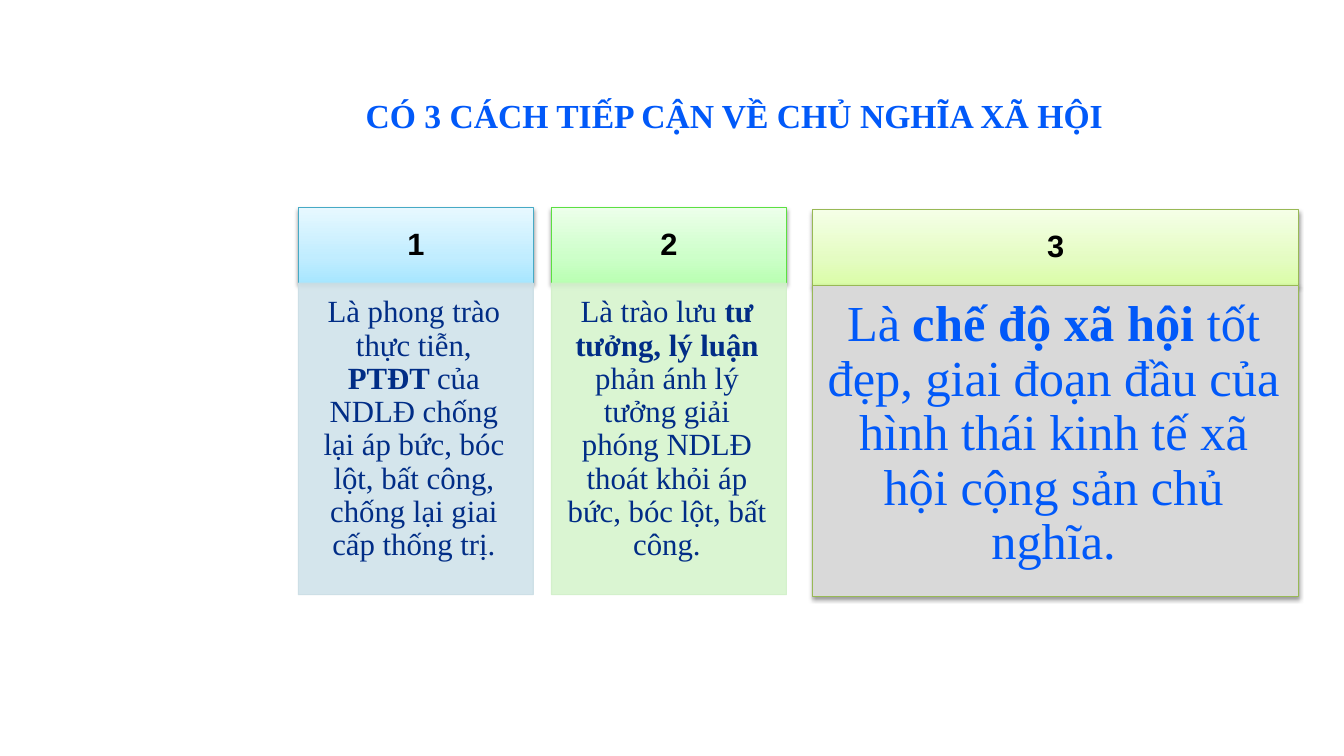
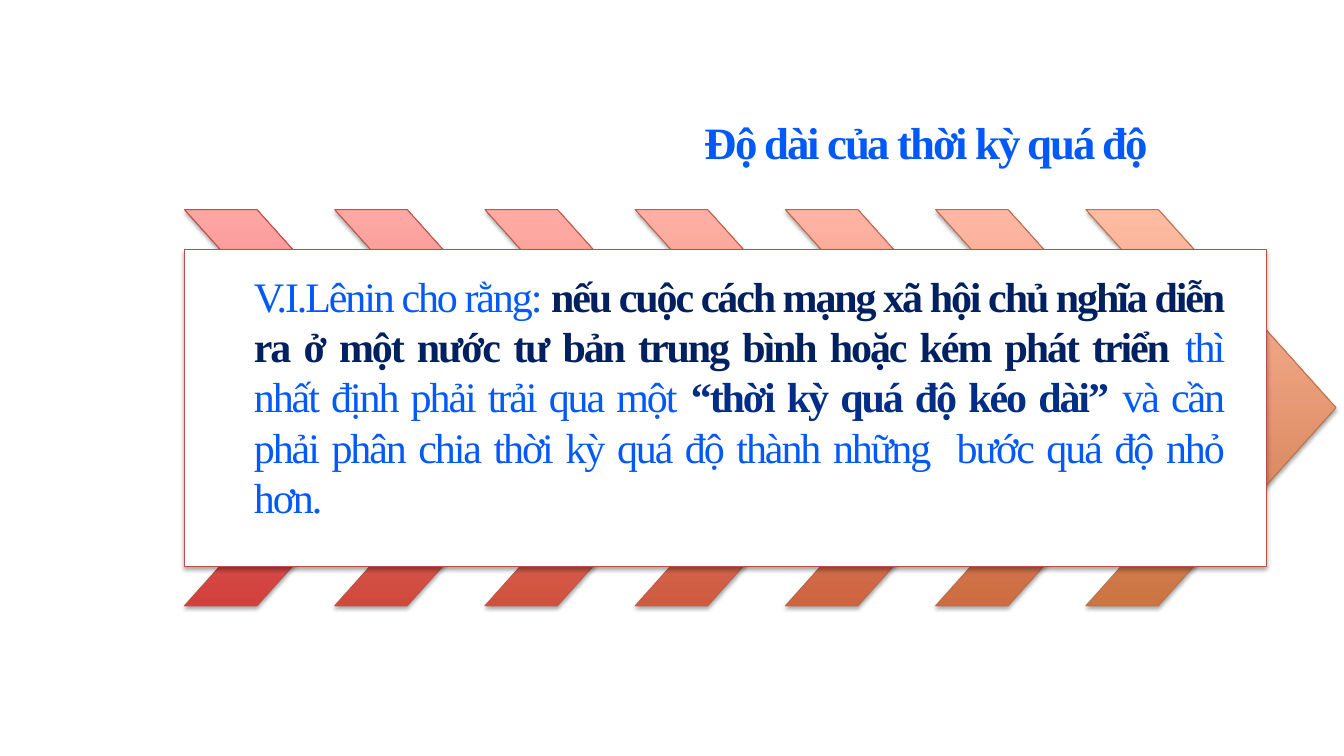
from pptx import Presentation
from pptx.dml.color import RGBColor
from pptx.enum.shapes import MSO_SHAPE
from pptx.enum.text import MSO_ANCHOR, MSO_AUTO_SIZE, PP_ALIGN
from pptx.oxml import parse_xml
from pptx.oxml.ns import nsdecls, qn
from pptx.util import Inches, Pt

BLUE, NAVY, DARK, BLACK, WHITE = "0159F9", "012D86", "002060", "000000", "FFFFFF"
SERIF, SANS = "Times New Roman", "Arial"

COLUMNS = [
    dict(box=(2.96, 2.06, 2.33), number="1", size=22, color=NAVY,
         head=[(0, "A7E6FF"), (35, "C1EDFF"), (100, "E7F8FF")], head_line="46AAC5",
         fill="D0E3EA", line="CBDEE5", alpha=90, shadow=None,
         runs=[("Là phong trào thực tiễn, ", False), ("PTĐT ", True),
               ("của NDLĐ chống lại áp bức, bóc lột, bất công, "
                "chống lại giai cấp thống trị.", False)]),
    dict(box=(5.47, 2.06, 2.33), number="2", size=22, color=NAVY,
         head=[(0, "B9FFB2"), (35, "CDFFC9"), (100, "ECFFEA")], head_line="5BE041",
         fill="D6F4CE", line="D1F0C9", alpha=90, shadow=None,
         runs=[("Là trào lưu ", False), ("tư tưởng, lý luận ", True),
               ("phản ánh lý tưởng giải phóng NDLĐ thoát khỏi áp bức, "
                "bóc lột, bất công.", False)]),
    dict(box=(8.06, 2.08, 4.82), number="3", size=36, color=BLUE,
         head=[(0, "DAFDA7"), (35, "E4FCC2"), (100, "F5FFE7")], head_line="98B955",
         fill="D9D9D9", line="98B955", alpha=100, shadow=38,
         runs=[("Là ", False), ("chế độ xã hội ", True),
               ("tốt đẹp, giai đoạn đầu của hình thái kinh tế xã hội "
                "cộng sản chủ nghĩa.", False)]),
]
HEAD_H, BODY_H = 0.75, 3.09

CHEVRONS = [
    ("D1403C", "FFA6A5", "BF4C48"), ("D0493D", "FFA9A5", "BE534A"),
    ("D0523E", "FFACA5", "BE5A4B"), ("CE5B40", "FFB0A5", "BC614C"),
    ("CD6440", "FFB4A4", "BB684C"), ("CD6C41", "FFB8A5", "BB6E4D"),
    ("CC7442", "FFBCA4", "BA754E"),
]
CHEVRON_X, CHEVRON_STEP = 1.83, 1.49

QUOTE = [
    ("V.I.Lênin cho rằng: ", BLUE, False),
    ("nếu cuộc cách mạng xã hội chủ nghĩa diễn ra ở một nước tư bản "
     "trung bình hoặc kém phát triển", DARK, True),
    (" thì nhất định phải trải qua một ", BLUE, False),
    ("“thời kỳ quá độ kéo dài” ", NAVY, True),
    ("và cần phải phân chia thời kỳ quá độ thành những  bước quá độ nhỏ hơn. ", BLUE, False),
]


def rgb(color):
    return RGBColor.from_string(color)


def set_attrs(obj, values):
    for name, value in values.items():
        setattr(obj, name, value)


def write(tf, runs, size, font=SERIF, align=PP_ALIGN.CENTER, anchor=MSO_ANCHOR.TOP,
          margins=(0.1, 0.05, 0.1, 0.05), spacing=1.0, tracking=0):
    left, top, right, bottom = map(Inches, margins)
    set_attrs(tf, dict(word_wrap=True, auto_size=MSO_AUTO_SIZE.NONE, vertical_anchor=anchor,
                       margin_left=left, margin_top=top,
                       margin_right=right, margin_bottom=bottom))
    p = tf.paragraphs[0]
    set_attrs(p, dict(alignment=align, line_spacing=spacing))
    for text, color, bold in runs:
        r = p.add_run()
        r.text = text
        set_attrs(r.font, dict(name=font, size=Pt(size), bold=bold))
        r.font.color.rgb = rgb(color)
        if tracking:
            r.font._element.set("spc", str(int(tracking * 100)))


def add_title(prs, text, box, size, **style):
    s = prs.slides.add_slide(prs.slide_layouts[5])
    title = s.shapes.title
    set_attrs(title, dict(zip(("left", "top", "width", "height"), map(Inches, box))))
    write(title.text_frame, [(text, BLUE, True)], size, anchor=MSO_ANCHOR.MIDDLE, **style)
    return s


def add_block(s, box, fill, line, shadow=None, alpha=100, kind=MSO_SHAPE.RECTANGLE):
    sp = s.shapes.add_shape(kind, *map(Inches, box))
    sp.shadow.inherit = False
    props = sp._element.spPr
    if isinstance(fill, str):
        sp.fill.solid()
        sp.fill.fore_color.rgb = rgb(fill)
    else:
        sp.fill.gradient()
        sp.fill.gradient_angle = 90
        stops = props.find(".//" + qn("a:gsLst"))
        stops.clear()
        for pos, color in fill:
            stops.append(parse_xml(f'<a:gs {nsdecls("a")} pos="{pos * 1000}">'
                                   f'<a:srgbClr val="{color}"/></a:gs>'))
    sp.line.color.rgb = rgb(line)
    sp.line.width = Pt(0.75)
    if alpha < 100:
        for color in props.iter(qn("a:srgbClr")):
            color.append(parse_xml(f'<a:alpha {nsdecls("a")} val="{alpha * 1000}"/>'))
    if shadow:
        props.find(qn("a:effectLst")).append(parse_xml(
            f'<a:outerShdw {nsdecls("a")} blurRad="{Pt(3.1)}" dist="{Pt(1.7)}" '
            f'dir="5400000" rotWithShape="0"><a:srgbClr val="{BLACK}">'
            f'<a:alpha val="{shadow * 1000}"/></a:srgbClr></a:outerShdw>'))
    return sp


def build_approaches(prs):
    s = add_title(prs, "CÓ 3 CÁCH TIẾP CẬN VỀ CHỦ NGHĨA XÃ HỘI ", (3.28, 0.63, 8.09, 1.03), 24)
    for col in COLUMNS:
        x, y, w = col["box"]
        head = add_block(s, (x, y, w, HEAD_H), col["head"], col["head_line"], 38)
        write(head.text_frame, [(col["number"], BLACK, True)], 22, SANS,
              anchor=MSO_ANCHOR.MIDDLE, margins=(0.17, 0.1, 0.17, 0.1), spacing=0.9)
        body = add_block(s, (x, y + HEAD_H, w, BODY_H), col["fill"], col["line"],
                         col["shadow"], col["alpha"])
        write(body.text_frame, [(text, col["color"], bold) for text, bold in col["runs"]],
              col["size"], margins=(0.13, 0.13, 0.17, 0.19), spacing=0.9)


def build_transition(prs):
    s = add_title(prs, "Độ dài của thời kỳ quá độ", (6.89, 1.08, 4.87, 0.64), 32,
                  align=PP_ALIGN.LEFT, tracking=-1.5)
    for i, (bottom, top, line) in enumerate(CHEVRONS):
        sp = add_block(s, (CHEVRON_X + i * CHEVRON_STEP, 2.08, 2.48, 3.93),
                       [(0, bottom), (100, top)], line, 35, kind=MSO_SHAPE.CHEVRON)
        sp.adjustments[0] = 0.71
    add_block(s, (CHEVRON_X, 2.48, 10.73, 3.14), WHITE, CHEVRONS[0][2], 35)
    quote = s.shapes.add_textbox(*map(Inches, (2.42, 2.63, 9.81, 2.12)))
    write(quote.text_frame, QUOTE, 30, align=PP_ALIGN.JUSTIFY, tracking=-1.5)


def main():
    prs = Presentation()
    set_attrs(prs, dict(slide_width=Inches(13.33), slide_height=Inches(7.5)))
    build_approaches(prs)
    build_transition(prs)
    prs.save("out.pptx")


if __name__ == "__main__":
    main()
